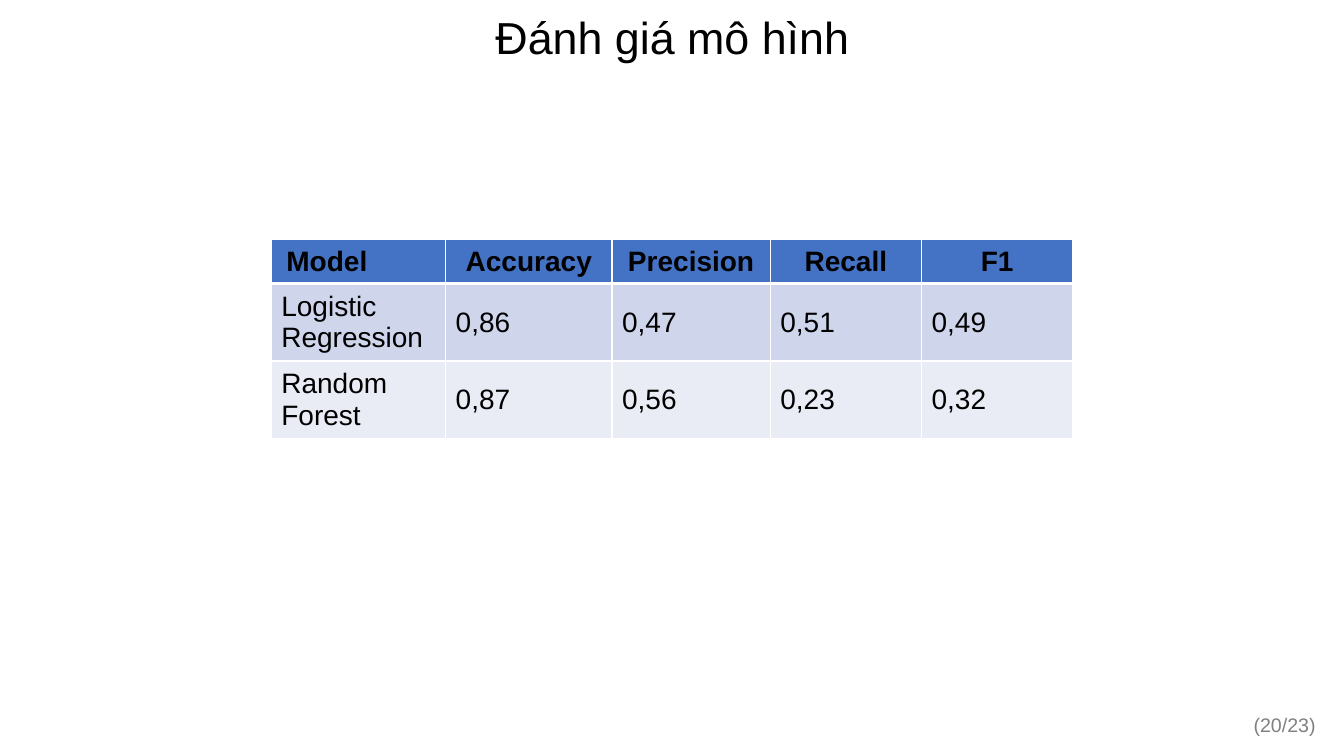
from dataclasses import dataclass

from lxml.etree import SubElement
from pptx import Presentation
from pptx.dml.color import RGBColor
from pptx.enum.text import MSO_ANCHOR, PP_ALIGN
from pptx.oxml.ns import qn
from pptx.util import Inches, Pt


@dataclass(frozen=True)
class Theme:
    """Colours, font and type sizes of the slide."""
    font: str = "Arial"
    text: str = "000000"
    muted: str = "808080"
    header: str = "4472C4"
    bands: tuple = ("CFD5EA", "E9EBF5")
    border: str = "FFFFFF"
    title_size: int = 32
    table_size: int = 20
    number_size: int = 14


THEME = Theme()
COLUMN_WIDTHS = (1.73, 1.65, 1.57, 1.5, 1.5)
ROW_HEIGHTS = (0.41, 0.72, 0.72)
SCORES = (
    ("Model", "Accuracy", "Precision", "Recall", "F1"),
    ("Logistic Regression", "0,86", "0,47", "0,51", "0,49"),
    ("Random Forest", "0,87", "0,56", "0,23", "0,32"),
)


def write(frame, text, size, color=THEME.text, align=PP_ALIGN.LEFT, bold=False):
    """Write one formatted run in the first paragraph of a frame."""
    paragraph = frame.paragraphs[0]
    paragraph.alignment = align
    run = paragraph.add_run()
    run.text = text
    run.font.name = THEME.font
    run.font.size = Pt(size)
    run.font.bold = bold
    run.font.color.rgb = RGBColor.from_string(color)
    return paragraph


def place_title(slide, left, top, width, height):
    """Move the title placeholder into the box and fill it."""
    title = slide.shapes.title
    title.left, title.top = Inches(left), Inches(top)
    title.width, title.height = Inches(width), Inches(height)
    frame = title.text_frame
    frame.vertical_anchor = MSO_ANCHOR.MIDDLE
    paragraph = write(frame, "Đánh giá mô hình", THEME.title_size, align=PP_ALIGN.CENTER)
    paragraph.line_spacing = 0.9


def border_cell(cell, is_header, follows_header):
    """Draw white borders, with a thick rule under the header."""
    widths = {
        "a:lnL": 1,
        "a:lnR": 1,
        "a:lnT": 3 if follows_header else 1,
        "a:lnB": 3 if is_header else 1,
    }
    properties = cell._tc.get_or_add_tcPr()
    for position, (tag, width) in enumerate(widths.items()):
        line = SubElement(properties, qn(tag), w=str(Pt(width)))
        fill = SubElement(line, qn("a:solidFill"))
        SubElement(fill, qn("a:srgbClr"), val=THEME.border)
        properties.insert(position, line)


def place_scores(slide, left, top, width, height):
    """Build the model score table in the box."""
    table = slide.shapes.add_table(
        len(SCORES), len(COLUMN_WIDTHS),
        Inches(left), Inches(top), Inches(width), Inches(height),
    ).table
    for column, column_width in zip(table.columns, COLUMN_WIDTHS):
        column.width = Inches(column_width)
    for row_index, (row, values) in enumerate(zip(table.rows, SCORES)):
        row.height = Inches(ROW_HEIGHTS[row_index])
        is_header = row_index == 0
        color = THEME.header if is_header else THEME.bands[row_index - 1]
        for column_index, (cell, value) in enumerate(zip(row.cells, values)):
            cell.fill.solid()
            cell.fill.fore_color.rgb = RGBColor.from_string(color)
            cell.vertical_anchor = MSO_ANCHOR.MIDDLE
            centred = is_header and column_index > 0
            align = PP_ALIGN.CENTER if centred else PP_ALIGN.LEFT
            write(cell.text_frame, value, THEME.table_size, align=align, bold=is_header)
            border_cell(cell, is_header, row_index == 1)
    table.cell(0, 0).margin_left = Inches(0.15)


def place_page_number(slide, left, top, width, height):
    """Set the page count at the right of the box."""
    box = slide.shapes.add_textbox(Inches(left), Inches(top), Inches(width), Inches(height))
    frame = box.text_frame
    frame.word_wrap = True
    frame.vertical_anchor = MSO_ANCHOR.MIDDLE
    frame.margin_right = Inches(0.15)
    frame.margin_bottom = Inches(0.09)
    write(frame, "(20/23)", THEME.number_size, THEME.muted, PP_ALIGN.RIGHT)


def main():
    """Build and save the presentation."""
    presentation = Presentation()
    presentation.slide_width = Inches(13.33)
    presentation.slide_height = Inches(7.5)
    slide = presentation.slides.add_slide(presentation.slide_layouts.get_by_name("Title Only"))
    place_page_number(slide, 12.02, 6.95, 1.18, 0.52)
    place_title(slide, 1.67, 0, 10, 0.79)
    place_scores(slide, 2.69, 2.38, sum(COLUMN_WIDTHS), sum(ROW_HEIGHTS))
    presentation.save("out.pptx")


if __name__ == "__main__":
    main()
